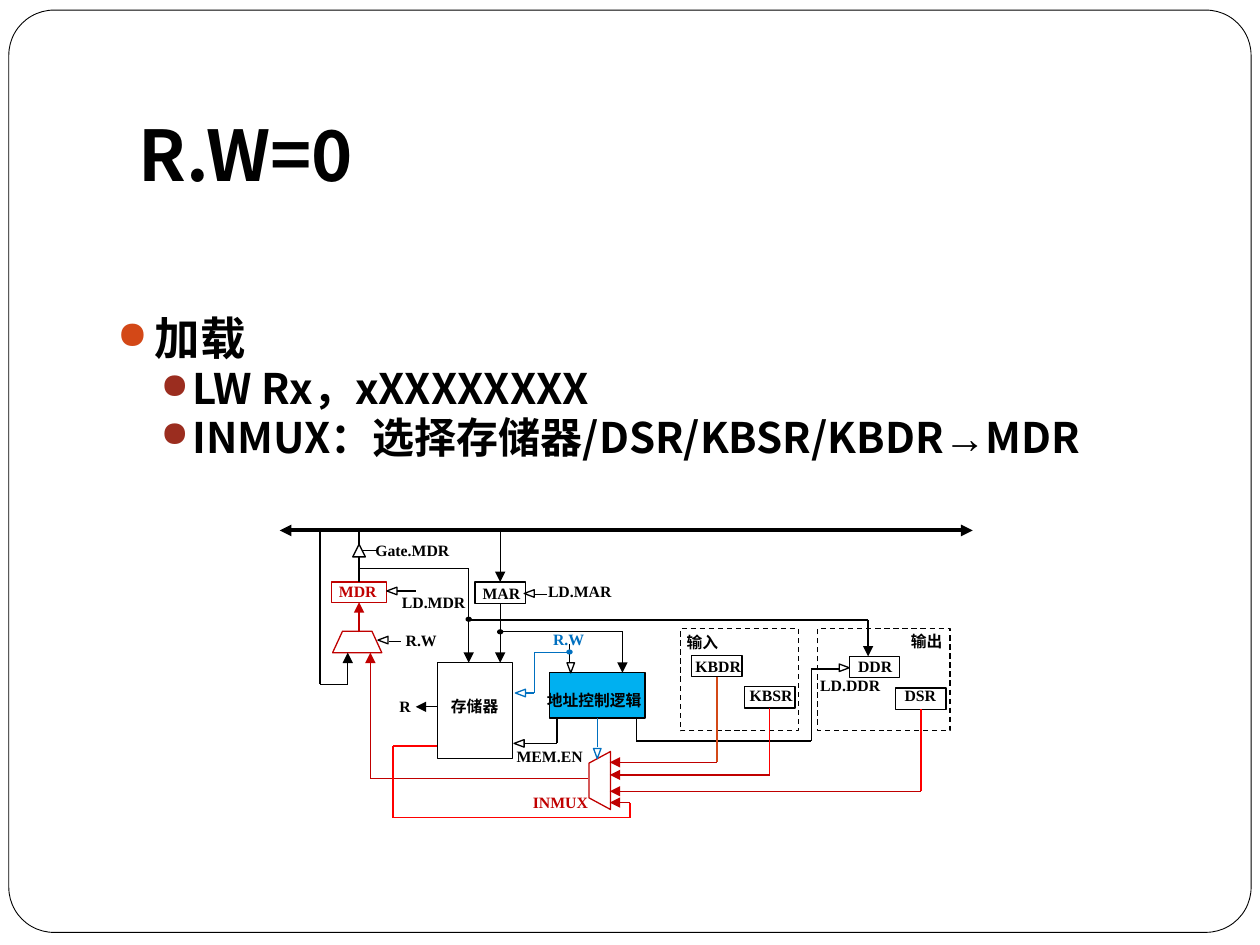
"""Build the slide on the load path from memory and device registers into MDR."""
from lxml import etree
from pptx import Presentation
from pptx.dml.color import RGBColor
from pptx.enum.dml import MSO_LINE
from pptx.enum.shapes import MSO_CONNECTOR, MSO_SHAPE
from pptx.enum.text import MSO_ANCHOR, PP_ALIGN
from pptx.oxml.ns import qn
from pptx.util import Cm, Pt

STRAIGHT = MSO_CONNECTOR.STRAIGHT
RECT, OVAL = MSO_SHAPE.RECTANGLE, MSO_SHAPE.OVAL
ROUNDED = MSO_SHAPE.ROUNDED_RECTANGLE
TRIANGLE = MSO_SHAPE.FLOWCHART_EXTRACT
MUX = MSO_SHAPE.FLOWCHART_MANUAL_OPERATION
DASH = MSO_LINE.DASH
MIDDLE, BOTTOM, LEFT = MSO_ANCHOR.MIDDLE, MSO_ANCHOR.BOTTOM, PP_ALIGN.LEFT
TOP_SIDE, BOTTOM_SIDE = 0, 2
CM_PER_INCH = 2.54
HEADING_FONT, LABEL_FONT = "Noto Sans CJK SC", "Times New Roman"
COLORS = {
    "black": "000000", "white": "FFFFFF", "crimson": "C00000", "red": "FF0000",
    "blue": "0070C0", "sky": "00B0F0", "orange": "D34817", "brick": "9B2D1F",
}

prs = Presentation()
prs.slide_width, prs.slide_height = Cm(25.4), Cm(19.05)
slide = prs.slides.add_slide(prs.slide_layouts[5])


def add_part(kind, box, line="black", fill=None, width=0.75, rotation=0):
    part = slide.shapes.add_shape(kind, *[Cm(v * CM_PER_INCH) for v in box])
    part.shadow.inherit = False
    part.rotation = rotation
    part.line.color.rgb = RGBColor.from_string(COLORS[line])
    part.line.width = Pt(width)
    if fill:
        part.fill.solid()
        part.fill.fore_color.rgb = RGBColor.from_string(COLORS[fill])
    else:
        part.fill.background()
    return part


def add_wire(start, end, color, width=0.75, arrows=()):
    wire = slide.shapes.add_connector(
        STRAIGHT, *[Cm(v * CM_PER_INCH) for v in (*start, *end)])
    wire.line.color.rgb = RGBColor.from_string(COLORS[color])
    wire.line.width = Pt(width)
    for arrow in arrows:
        etree.SubElement(wire.line._get_or_add_ln(), qn(f"a:{arrow}"), type="triangle")
    etree.SubElement(wire._element.spPr, qn("a:effectLst"))
    return wire


title = slide.shapes.title
title.left, title.top, title.width, title.height = Cm(2.54), Cm(0.76), Cm(21.59), Cm(3.18)
title.text_frame.text = "R.W=0"
title.text_frame.vertical_anchor = BOTTOM
title.text_frame.margin_bottom = 0
heading = title.text_frame.paragraphs[0]
heading.alignment = LEFT
heading.font.size, heading.font.bold, heading.font.name = Pt(40), True, HEADING_FONT
heading.font.color.rgb = RGBColor.from_string(COLORS["black"])

frame = add_part(ROUNDED, (0.07, 0.08, 9.86, 7.32), fill="white", width=0.5)
frame.adjustments[0] = 0.049
title._element.addprevious(frame._element)

body = slide.shapes.add_textbox(Cm(2.11), Cm(6.32), Cm(21.21), Cm(3.81)).text_frame
body.word_wrap = True
bullets = [
    (0, ["加载"], 26, "orange", 0.76, 0.76, 0),
    (1, ["LW Rx，xXXXXXXXX"], 24, "brick", 1.52, 0.64, 3.7),
    (1, ["INMUX：选择存储器/DSR/KBSR/KBDR", "→", "MDR"], 24, "brick", 1.52, 0.64, 3.7),
]
for index, (level, pieces, size, dot_color, margin, hanging, before) in enumerate(bullets):
    bullet = body.add_paragraph() if index else body.paragraphs[0]
    bullet.level = level
    bullet.line_spacing, bullet.space_before = 0.83, Pt(before)
    props = bullet._p.get_or_add_pPr()
    props.set("marL", str(Cm(margin)))
    props.set("indent", str(-Cm(hanging)))
    dot = etree.SubElement(props, qn("a:buClr"))
    etree.SubElement(dot, qn("a:srgbClr"), val=COLORS[dot_color])
    etree.SubElement(props, qn("a:buSzPct"), val="85000")
    etree.SubElement(props, qn("a:buChar"), char="●")
    bullet.font.size, bullet.font.bold = Pt(size), True
    bullet.font.color.rgb = RGBColor.from_string(COLORS["black"])
    for piece in pieces:
        run = bullet.add_run()
        run.text = piece
        run.font.name = "Arial" if piece == "→" else HEADING_FONT

for area in [(5.4, 4.99, 0.94, 0.81), (6.49, 4.99, 1.05, 0.81)]:
    add_part(RECT, area).line.dash_style = DASH

blocks = {
    "MDR": add_part(RECT, (2.63, 4.62, 0.44, 0.16), "crimson"),
    "MAR": add_part(RECT, (3.77, 4.62, 0.4, 0.17)),
    "memory": add_part(RECT, (3.47, 5.26, 0.6, 0.76)),
    "address": add_part(RECT, (4.36, 5.34, 0.76, 0.36), fill="sky"),
    "KBDR": add_part(RECT, (5.49, 5.2, 0.4, 0.17)),
    "KBSR": add_part(RECT, (5.91, 5.45, 0.4, 0.17)),
    "DDR": add_part(RECT, (6.74, 5.21, 0.4, 0.17)),
    "DSR": add_part(RECT, (7.11, 5.46, 0.4, 0.17)),
}
add_part(MUX, (2.64, 5.01, 0.39, 0.17), "crimson", rotation=180)
add_part(MUX, (4.53, 6.11, 0.46, 0.17), "crimson", rotation=90)

add_wire((2.22, 4.21), (7.72, 4.21), "black", 2.25, ("headEnd", "tailEnd"))

wires = [
    ("black", [(2.85, 4.22), (2.85, 4.33)], False, None, None),
    ("black", [(2.88, 4.37), (2.99, 4.37)], False, None, None),
    ("black", [(2.85, 4.42), (2.85, 4.62)], False, None, "MDR"),
    ("crimson", [(2.85, 5.02), (2.85, 4.78)], True, None, "MDR"),
    ("black", [(2.54, 4.21), (2.54, 5.43), (2.76, 5.43), (2.76, 5.18)], True, None, None),
    ("crimson", [(4.67, 6.18), (2.94, 6.18), (2.94, 5.18)], True, None, None),
    ("black", [(3.14, 4.69), (3.3, 4.69)], False, None, None),
    ("black", [(2.85, 4.51), (3.72, 4.51), (3.72, 5.26)], True, None, None),
    ("black", [(4.24, 4.72), (4.34, 4.72)], False, None, None),
    ("black", [(3.97, 4.21), (3.97, 4.62)], True, None, "MAR"),
    ("black", [(3.97, 4.79), (3.97, 5.26)], True, "MAR", None),
    ("black", [(3.47, 5.61), (3.3, 5.61)], True, None, None),
    ("black", [(3.72, 4.92), (6.89, 4.92), (6.89, 5.21)], True, None, None),
    ("black", [(3.97, 5.01), (4.94, 5.01), (4.94, 5.34)], True, None, None),
    ("black", [(4.52, 5.11), (4.52, 5.25)], False, None, None),
    ("blue", [(4.52, 5.18), (4.24, 5.18), (4.24, 5.5), (4.16, 5.5)], False, None, None),
    ("black", [(4.42, 5.7), (4.42, 5.9), (4.16, 5.9)], False, None, None),
    ("blue", [(4.74, 5.7), (4.74, 5.93)], False, "address", None),
    ("red", [(3.47, 5.92), (3.12, 5.92), (3.12, 6.49), (5, 6.49), (5, 6.37)],
     False, None, None),
    ("crimson", [(5, 6.37), (4.84, 6.37)], True, None, None),
    ("black", [(5.05, 5.7), (5.05, 5.88), (6.44, 5.88), (6.44, 5.31), (6.68, 5.31)],
     False, None, None),
    ("orange", [(5.69, 5.37), (5.69, 6.05)], False, "KBDR", None),
    ("crimson", [(5.69, 6.05), (4.84, 6.05)], True, None, None),
    ("red", [(6.11, 5.62), (6.11, 6.15)], False, "KBSR", None),
    ("crimson", [(6.11, 6.15), (4.84, 6.15)], True, None, None),
    ("red", [(7.31, 5.63), (7.31, 6.28)], False, "DSR", None),
    ("crimson", [(7.31, 6.28), (4.84, 6.28)], True, None, None),
    ("black", [(3.09, 5.09), (3.18, 5.09)], False, None, None),
]
for color, points, arrow, source, target in wires:
    legs = []
    for start, end in zip(points, points[1:]):
        arrows = ("tailEnd",) if arrow and end == points[-1] else ()
        legs.append(add_wire(start, end, color, arrows=arrows))
    if source:
        legs[0].begin_connect(blocks[source], BOTTOM_SIDE)
    if target:
        downward = points[-1][1] > points[-2][1]
        legs[-1].end_connect(blocks[target], TOP_SIDE if downward else BOTTOM_SIDE)

add_part(TRIANGLE, (2.8, 4.32, 0.1, 0.1), fill="white")
control_tips = [
    (3.08, 4.65, 270, "black"), (4.17, 4.67, 270, "black"), (4.5, 5.26, 180, "black"),
    (4.1, 5.46, 270, "blue"), (4.09, 5.86, 270, "black"), (4.71, 5.94, 180, "blue"),
    (6.67, 5.26, 90, "black"), (3.01, 5.04, 270, "black"),
]
for left, top, rotation, color in control_tips:
    add_part(TRIANGLE, (left, top, 0.06, 0.08), color, "white", rotation=rotation)

for left, top, color in [(3.7, 4.9, "black"), (3.95, 5, "black"), (4.5, 5.16, "blue")]:
    add_part(OVAL, (left, top, 0.04, 0.03), color, color)

labels = [
    ("Gate.MDR", 2.96, 4.26, 0.7, 0.22, "black"), ("MDR", 2.67, 4.58, 0.35, 0.22, "crimson"),
    ("LD.MDR", 3.17, 4.67, 0.56, 0.22, "black"), ("MAR", 3.81, 4.6, 0.35, 0.22, "black"),
    ("LD.MAR", 4.33, 4.58, 0.56, 0.22, "black"), ("存储器", 3.56, 5.47, 0.43, 0.27, "black"),
    ("MEM.EN", 4.08, 5.88, 0.68, 0.24, "black"), ("R", 3.15, 5.5, 0.16, 0.21, "black"),
    ("地址控制逻辑", 4.32, 5.36, 0.85, 0.39, "black"), ("R.W", 4.37, 4.96, 0.34, 0.22, "blue"),
    ("INMUX", 4.21, 6.26, 0.56, 0.22, "crimson"), ("KBSR", 5.93, 5.41, 0.39, 0.22, "black"),
    ("KBDR", 5.5, 5.17, 0.52, 0.23, "black"), ("DDR", 6.79, 5.18, 0.39, 0.22, "black"),
    ("DSR", 7.16, 5.41, 0.39, 0.22, "black"), ("输出", 7.21, 4.98, 0.37, 0.22, "black"),
    ("输入", 5.43, 4.99, 0.38, 0.22, "black"), ("R.W", 3.2, 4.97, 0.34, 0.22, "black"),
    ("LD.DDR", 6.49, 5.33, 0.56, 0.22, "black"),
]
for text, *box, color in labels:
    label = slide.shapes.add_textbox(*[Cm(v * CM_PER_INCH) for v in box]).text_frame
    label.text = text
    label.word_wrap = True
    label.vertical_anchor = MIDDLE
    label.margin_left = label.margin_right = Cm(0.05)
    label.margin_top = label.margin_bottom = Cm(0.03)
    caption = label.paragraphs[0]
    caption.font.size, caption.font.bold, caption.font.name = Pt(9), True, LABEL_FONT
    caption.font.color.rgb = RGBColor.from_string(COLORS[color])

prs.save("out.pptx")
